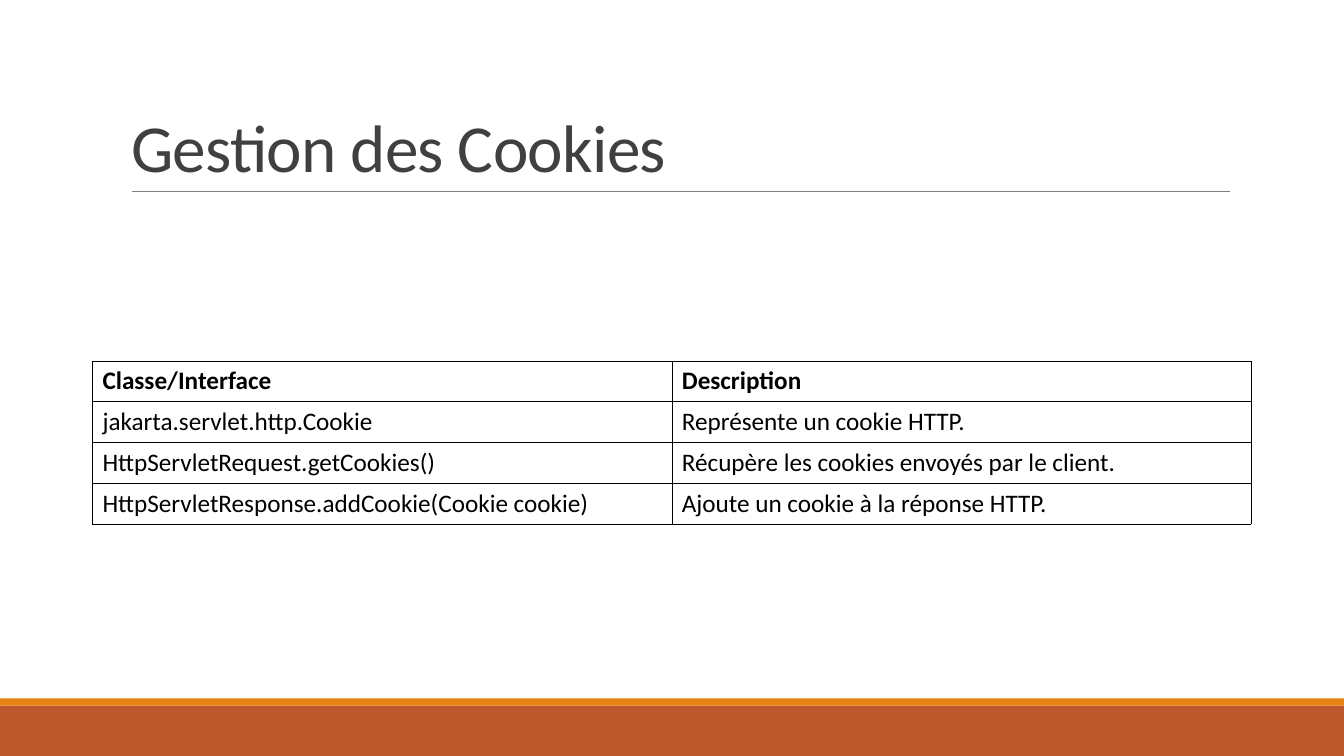
from dataclasses import dataclass

from lxml.etree import SubElement
from pptx import Presentation
from pptx.dml.color import RGBColor
from pptx.enum.shapes import MSO_CONNECTOR, MSO_SHAPE
from pptx.enum.text import MSO_ANCHOR, PP_ALIGN
from pptx.oxml.ns import qn
from pptx.slide import Slide
from pptx.table import _Cell
from pptx.text.text import Font
from pptx.util import Cm, Pt

RUST = RGBColor(0xBD, 0x58, 0x2C)
AMBER = RGBColor(0xE4, 0x83, 0x12)
GREY = RGBColor(0x80, 0x80, 0x80)
DARK = RGBColor(0x40, 0x40, 0x40)
BLACK = RGBColor(0, 0, 0)

TITLE = {"name": "Calibri", "size": Pt(48), "bold": False}
BODY = {"name": "Calibri", "size": Pt(18), "bold": False}
HEAD = {**BODY, "bold": True}

ROWS = [
    ("Classe/Interface", "Description"),
    ("jakarta.servlet.http.Cookie", "Représente un cookie HTTP."),
    ("HttpServletRequest.getCookies()", "Récupère les cookies envoyés par le client."),
    ("HttpServletResponse.addCookie(Cookie cookie)", "Ajoute un cookie à la réponse HTTP."),
]


@dataclass
class Band:
    top: float
    height: float
    color: RGBColor


BANDS = [Band(17.78, 1.27, RUST), Band(17.6, 0.18, AMBER)]


def style(font: Font, look: dict, color: RGBColor) -> None:
    for key, value in look.items():
        setattr(font, key, value)
    font.color.rgb = color


def add_band(slide: Slide, band: Band, width: int) -> None:
    bar = slide.shapes.add_shape(
        MSO_SHAPE.RECTANGLE, 0, Cm(band.top), width, Cm(band.height))
    bar.shadow.inherit = False
    bar.fill.solid()
    bar.fill.fore_color.rgb = band.color
    bar.line.fill.background()


def add_rule(slide: Slide) -> None:
    rule = slide.shapes.add_connector(
        MSO_CONNECTOR.STRAIGHT, Cm(3.32), Cm(4.83), Cm(31), Cm(4.83))
    rule.line.color.rgb = GREY
    rule.line.width = Pt(0.5)
    SubElement(rule._element.spPr, qn("a:effectLst"))


def set_title(slide: Slide, text: str) -> None:
    title = slide.shapes.title
    place = {"left": 3.05, "top": 0.79, "width": 27.94, "height": 4.04}
    for key, value in place.items():
        setattr(title, key, Cm(value))
    frame = title.text_frame
    frame.text = text
    frame.word_wrap = True
    frame.vertical_anchor = MSO_ANCHOR.BOTTOM
    para = frame.paragraphs[0]
    para.alignment = PP_ALIGN.LEFT
    para.line_spacing = 0.85
    run = para.runs[0]
    style(run.font, TITLE, DARK)
    run._r.get_or_add_rPr().set("spc", "-50")


def add_edges(cell: _Cell) -> None:
    props = cell._tc.get_or_add_tcPr()
    for spot, side in enumerate(("lnL", "lnR", "lnT", "lnB")):
        edge = SubElement(props, qn(f"a:{side}"), w=str(Pt(0.25)))
        fill = SubElement(edge, qn("a:solidFill"))
        SubElement(fill, qn("a:srgbClr"), val=str(BLACK))
        props.insert(spot, edge)


def add_grid(slide: Slide) -> None:
    high = 1.03
    grid = slide.shapes.add_table(
        len(ROWS), 2, Cm(2.33), Cm(9.09), Cm(29.2), Cm(high * len(ROWS))).table
    grid.first_row = grid.horz_banding = False
    for r, texts in enumerate(ROWS):
        grid.rows[r].height = Cm(high)
        for c, text in enumerate(texts):
            cell = grid.cell(r, c)
            cell.text = text
            cell.vertical_anchor = MSO_ANCHOR.MIDDLE
            cell.fill.background()
            add_edges(cell)
            font = cell.text_frame.paragraphs[0].runs[0].font
            style(font, BODY if r else HEAD, BLACK)


def main() -> None:
    deck = Presentation()
    deck.slide_width, deck.slide_height = Cm(33.87), Cm(19.05)
    slide = deck.slides.add_slide(deck.slide_layouts[5])

    # Footer bands and title rule
    for band in BANDS:
        add_band(slide, band, deck.slide_width)
    add_rule(slide)

    # Title and table
    set_title(slide, "Gestion des Cookies")
    add_grid(slide)
    deck.save("out.pptx")


if __name__ == "__main__":
    main()
